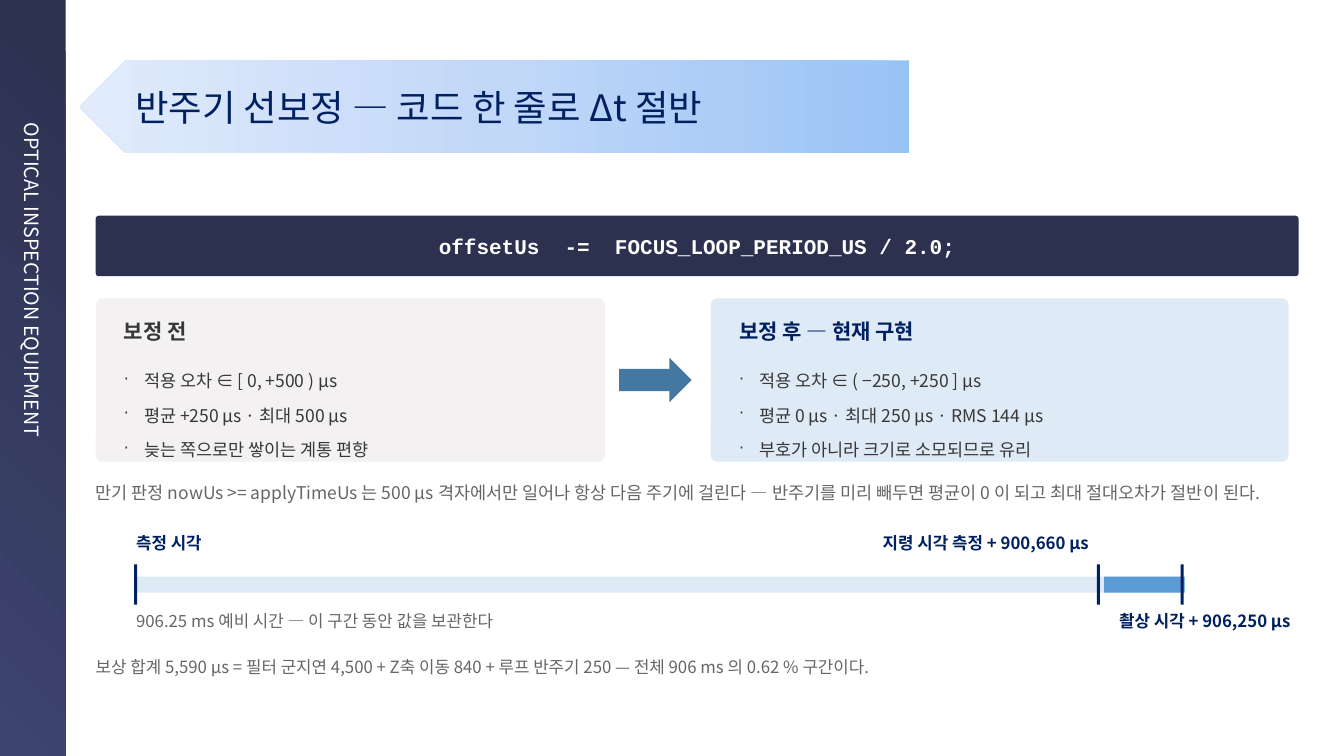
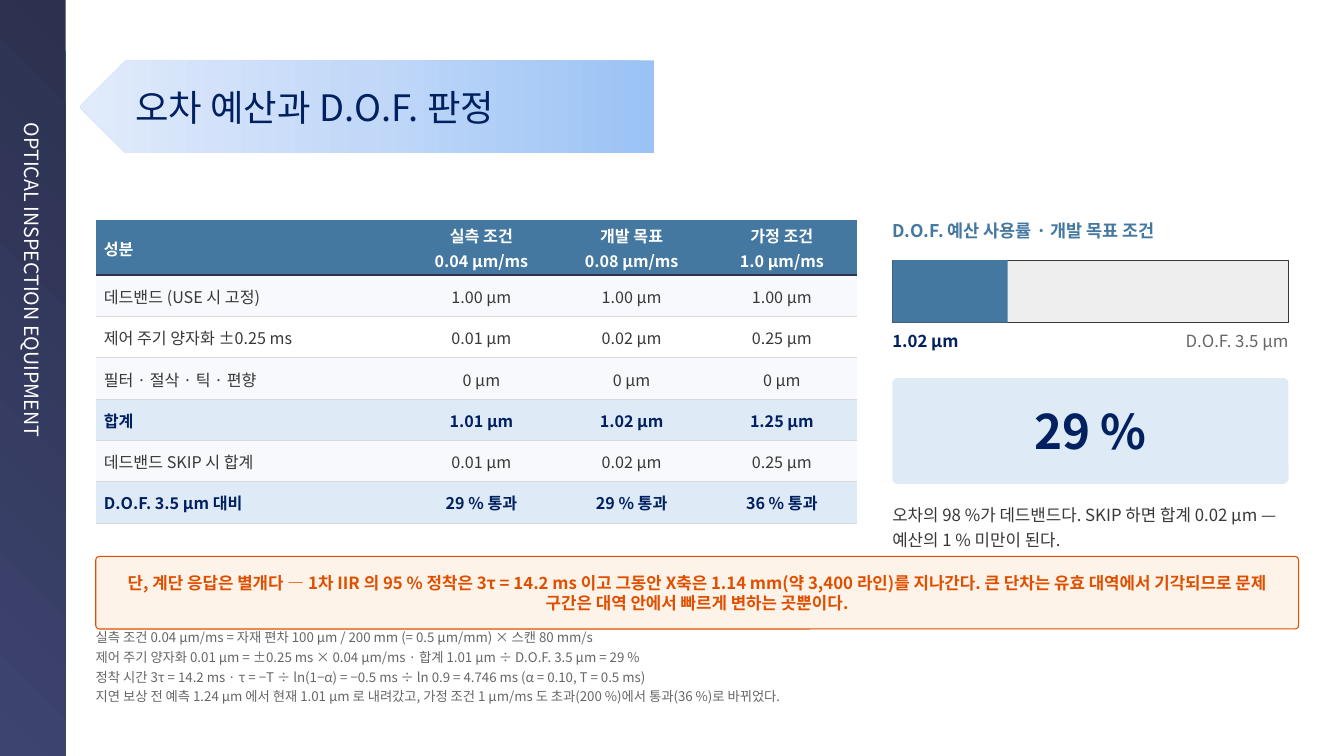
from copy import deepcopy

from lxml import etree
from pptx import Presentation
from pptx.dml.color import RGBColor
from pptx.enum import shapes, text
from pptx.oxml import ns
from pptx.util import Inches, Pt

NAVY = RGBColor(0x00, 0x20, 0x60)
DARK = RGBColor(0x2C, 0x31, 0x4F)
INDIGO = RGBColor(0x3D, 0x44, 0x6F)
STEEL = RGBColor(0x44, 0x78, 0xA0)
BLUE = RGBColor(0x5B, 0x9B, 0xD5)
PALE = RGBColor(0xDE, 0xEA, 0xF6)
STRIPE = RGBColor(0xF7, 0xF9, 0xFC)
WHITE = RGBColor(0xFF, 0xFF, 0xFF)
WARM = RGBColor(0xF3, 0xF1, 0xF1)
TRACK = RGBColor(0xEE, 0xEE, 0xEE)
RULE = RGBColor(0xD9, 0xD9, 0xD9)
INK = RGBColor(0x38, 0x38, 0x38)
GRAY = RGBColor(0x66, 0x66, 0x66)
ORANGE = RGBColor(0xE0, 0x4F, 0x00)
CREAM = RGBColor(0xFD, 0xF3, 0xE8)
BANNER = [RGBColor(0x9A, 0xC3, 0xF5), RGBColor(0xC2, 0xD8, 0xF8), RGBColor(0xE1, 0xEB, 0xFB)]

SANS, MONO = "Noto Sans CJK KR", "Courier New"
LEFT, CENTER, RIGHT = text.PP_ALIGN.LEFT, text.PP_ALIGN.CENTER, text.PP_ALIGN.RIGHT
MIDDLE = text.MSO_ANCHOR.MIDDLE
KIND = shapes.MSO_SHAPE
PLAIN_TABLE = "{2D5ABB26-0587-4C30-8999-92F81FD0307C}"

WIDTH, HEIGHT, BAND = 13.33, 7.5, 0.65
MARGIN, BODY = 0.95, 11.93
SIDE, SIDE_WIDTH = 8.85, 3.93
COMPANY = "OPTICAL INSPECTION EQUIPMENT"

CODE = "offsetUs  -=  FOCUS_LOOP_PERIOD_US / 2.0;"
CARDS = [
    (0.95, 5.05, WARM, INK, "보정 전",
     ["적용 오차 ∈ [ 0, +500 ) µs", "평균 +250 µs · 최대 500 µs", "늦는 쪽으로만 쌓이는 계통 편향"]),
    (7.05, 5.73, PALE, NAVY, "보정 후 — 현재 구현",
     ["적용 오차 ∈ ( −250, +250 ] µs", "평균 0 µs · 최대 250 µs · RMS 144 µs",
      "부호가 아니라 크기로 소모되므로 유리"]),
]
EXPLANATION = ("만기 판정 nowUs >= applyTimeUs 는 500 µs 격자에서만 일어나 항상 다음 주기에 걸린다 — "
               "반주기를 미리 빼두면 평균이 0 이 되고 최대 절대오차가 절반이 된다.")
TIMELINE = [(1.35, 10.4, PALE), (10.95, 0.8, BLUE)]
TICKS = [1.33, 10.88, 11.71]
TIME_LABELS = [
    (1.35, 5.28, 3, "측정 시각", NAVY, LEFT),
    (8.1, 5.28, 2.7, "지령 시각 측정 + 900,660 µs", NAVY, RIGHT),
    (10.3, 6.06, 2.5, "촬상 시각 + 906,250 µs", NAVY, RIGHT),
    (1.35, 6.06, 7, "906.25 ms 예비 시간 — 이 구간 동안 값을 보관한다", GRAY, LEFT),
]
TOTAL = "보상 합계 5,590 µs = 필터 군지연 4,500 + Z축 이동 840 + 루프 반주기 250 — 전체 906 ms 의 0.62 % 구간이다."

BUDGET = [
    ("성분", "실측 조건\n0.04 µm/ms", "개발 목표\n0.08 µm/ms", "가정 조건\n1.0 µm/ms"),
    ("데드밴드 (USE 시 고정)", "1.00 µm", "1.00 µm", "1.00 µm"),
    ("제어 주기 양자화 ±0.25 ms", "0.01 µm", "0.02 µm", "0.25 µm"),
    ("필터 · 절삭 · 틱 · 편향", "0 µm", "0 µm", "0 µm"),
    ("합계", "1.01 µm", "1.02 µm", "1.25 µm"),
    ("데드밴드 SKIP 시 합계", "0.01 µm", "0.02 µm", "0.25 µm"),
    ("D.O.F. 3.5 µm 대비", "29 % 통과", "29 % 통과", "36 % 통과"),
]
COLUMNS = [3.08, 1.49, 1.49, 1.49]
ROWS = [0.55] + [0.41] * 6
TOTAL_ROWS = (4, 6)
USED, DEPTH = 1.02, 3.5
REMARK = "오차의 98 %가 데드밴드다. SKIP 하면 합계 0.02 µm — 예산의 1 % 미만이 된다."
WARNING = ("단, 계단 응답은 별개다 — 1차 IIR 의 95 % 정착은 3τ = 14.2 ms 이고 그동안 X축은 "
           "1.14 mm(약 3,400 라인)를 지나간다. 큰 단차는 유효 대역에서 기각되므로 "
           "문제 구간은 대역 안에서 빠르게 변하는 곳뿐이다.")
FOOTNOTES = [
    "실측 조건 0.04 µm/ms = 자재 편차 100 µm / 200 mm (= 0.5 µm/mm) × 스캔 80 mm/s",
    "제어 주기 양자화 0.01 µm = ±0.25 ms × 0.04 µm/ms · 합계 1.01 µm ÷ D.O.F. 3.5 µm = 29 %",
    "정착 시간 3τ = 14.2 ms · τ = −T ÷ ln(1−α) = −0.5 ms ÷ ln 0.9 = 4.746 ms (α = 0.10, T = 0.5 ms)",
    "지연 보상 전 예측 1.24 µm 에서 현재 1.01 µm 로 내려갔고, 가정 조건 1 µm/ms 도 초과(200 %)에서 "
    "통과(36 %)로 바뀌었다.",
]


def add_node(parent, tag, **attributes):
    return etree.SubElement(parent, ns.qn(tag), attributes)


def write(frame, content, size, color, bold=False, align=LEFT, font=SANS,
          spacing=None, after=0, bullet=False):
    frame.text = content
    for para in frame.paragraphs:
        para.alignment = align
        if spacing:
            para.line_spacing = spacing
        if after and (bullet or para.text != frame.paragraphs[-1].text):
            para.space_after = Pt(after)
        if bullet:
            properties = para._p.get_or_add_pPr()
            properties.set("marL", str(Inches(0.2)))
            properties.set("indent", str(-Inches(0.2)))
            add_node(properties, "a:buSzPct", val="90000")
            add_node(properties, "a:buChar", char="·")
        for span in para.runs:
            span.font.name = font
            span.font.size = Pt(size)
            span.font.bold = bold
            span.font.color.rgb = color
            add_node(span._r.get_or_add_rPr(), "a:ea", typeface=font)


def set_margins(frame, left, top, right, bottom):
    frame.margin_left, frame.margin_top = Inches(left), Inches(top)
    frame.margin_right, frame.margin_bottom = Inches(right), Inches(bottom)


def add_text(page, left, top, width, height, content, size, color, **style):
    box = page.shapes.add_textbox(Inches(left), Inches(top), Inches(width), Inches(height))
    frame = box.text_frame
    set_margins(frame, 0, 0, 0, 0)
    frame.word_wrap = True
    frame.auto_size = text.MSO_AUTO_SIZE.SHAPE_TO_FIT_TEXT
    write(frame, content, size, color, **style)
    return box


def add_block(page, kind, left, top, width, height, fill=None, line=None, radius=None):
    block = page.shapes.add_shape(kind, Inches(left), Inches(top), Inches(width), Inches(height))
    block.shadow.inherit = False
    if fill is not None:
        block.fill.solid()
        block.fill.fore_color.rgb = fill
    if line is None:
        block.line.fill.background()
    else:
        block.line.color.rgb = line
        block.line.width = Pt(0.75)
    if radius is not None:
        block.adjustments[0] = radius
    return block


def add_panel(page, left, top, width, height, fill, content, size, color, line=None, font=SANS):
    panel = add_block(page, KIND.ROUNDED_RECTANGLE, left, top, width, height, fill, line, 0.05)
    frame = panel.text_frame
    set_margins(frame, 0.06, 0.02, 0.06, 0.02)
    frame.word_wrap = True
    frame.vertical_anchor = MIDDLE
    write(frame, content, size, color, bold=True, align=CENTER, font=font)


def paint_gradient(block, colors, angle):
    block.fill.gradient()
    block.fill.gradient_angle = angle
    stop_list = block._element.spPr.find(".//" + ns.qn("a:gsLst"))
    while len(stop_list) < len(colors):
        stop_list.append(deepcopy(stop_list[0]))
    for index, (stop, color) in enumerate(zip(block.fill.gradient_stops, colors)):
        stop.position = index / (len(colors) - 1)
        stop.color.rgb = color


def add_page(deck, title, banner_width):
    page = deck.slides.add_slide(deck.slide_layouts[6])
    band = add_block(page, KIND.RECTANGLE, (BAND - HEIGHT) / 2, (HEIGHT - BAND) / 2, HEIGHT, BAND)
    band.rotation = 90
    paint_gradient(band, [DARK, INDIGO], 315)
    set_margins(band.text_frame, 1.22, 0.05, 0.1, 0.05)
    band.text_frame.vertical_anchor = MIDDLE
    write(band.text_frame, COMPANY, 14, WHITE)

    banner = add_block(page, KIND.PENTAGON, 0.79, 0.6, banner_width, 0.92)
    banner._element.spPr.xfrm.set("flipH", "1")
    paint_gradient(banner, BANNER, 0)
    heading = add_text(page, 1.34, 0.6, banner_width - 0.98, 0.92, title, 26, NAVY)
    heading.text_frame.word_wrap = False
    heading.text_frame.vertical_anchor = MIDDLE
    return page


def add_budget_table(page):
    frame = page.shapes.add_table(len(ROWS), len(COLUMNS), Inches(MARGIN), Inches(2.18),
                                  Inches(sum(COLUMNS)), Inches(sum(ROWS)))
    table = frame.table
    table.horz_banding = False
    table._tbl.tblPr.find(ns.qn("a:tableStyleId")).text = PLAIN_TABLE
    for column, width in zip(table.columns, COLUMNS):
        column.width = Inches(width)
    for row, height in zip(table.rows, ROWS):
        row.height = Inches(height)
    for r, values in enumerate(BUDGET):
        if r == 0:
            fill, color = STEEL, WHITE
        elif r in TOTAL_ROWS:
            fill, color = PALE, NAVY
        else:
            fill, color = (STRIPE if r % 2 else WHITE), INK
        rule, weight = (RULE, 0.6) if r else (DARK, 1.2)
        for c, value in enumerate(values):
            cell = table.cell(r, c)
            edge = add_node(cell._tc.get_or_add_tcPr(), "a:lnB", w=str(Pt(weight)))
            add_node(add_node(edge, "a:solidFill"), "a:srgbClr", val=str(rule))
            cell.fill.solid()
            cell.fill.fore_color.rgb = fill
            set_margins(cell, 0.08, 0.03, 0.08, 0.03)
            cell.vertical_anchor = MIDDLE
            write(cell.text_frame, value, 11.5, color, bold=color != INK,
                  align=CENTER if c else LEFT, spacing=1.05)


def build_correction(deck):
    page = add_page(deck, "반주기 선보정 — 코드 한 줄로 Δt 절반", 8.23)
    add_panel(page, MARGIN, 2.14, BODY, 0.6, DARK, CODE, 15, WHITE, font=MONO)
    for left, width, fill, color, title, points in CARDS:
        add_block(page, KIND.ROUNDED_RECTANGLE, left, 2.96, width, 1.62, fill, radius=0.04)
        inner = (left + 0.28, width - 0.55)
        add_text(page, inner[0], 3.16, inner[1], 0.32, title, 15, color, bold=True)
        add_text(page, inner[0], 3.62, inner[1], 0.85, "\n".join(points), 12.5, INK,
                 spacing=1.25, after=6, bullet=True)
    add_block(page, KIND.RIGHT_ARROW, 6.14, 3.55, 0.72, 0.44, STEEL)
    add_text(page, MARGIN, 4.78, BODY, 0.3, EXPLANATION, 12.5, GRAY)
    for left, width, fill in TIMELINE:
        add_block(page, KIND.RECTANGLE, left, 5.72, width, 0.16, fill)
    for left in TICKS:
        add_block(page, KIND.RECTANGLE, left, 5.6, 0.03, 0.4, NAVY)
    for left, top, width, label, color, align in TIME_LABELS:
        add_text(page, left, top, width, 0.28, label, 12, color, bold=color == NAVY, align=align)
    add_text(page, MARGIN, 6.52, BODY, 0.36, TOTAL, 12, GRAY)


def build_budget(deck):
    page = add_page(deck, "오차 예산과 D.O.F. 판정", 5.7)
    add_budget_table(page)
    add_text(page, SIDE, 2.18, SIDE_WIDTH, 0.3, "D.O.F. 예산 사용률 · 개발 목표 조건", 12.5, STEEL, bold=True)
    add_block(page, KIND.RECTANGLE, SIDE, 2.58, SIDE_WIDTH, 0.62, TRACK, INK)
    add_block(page, KIND.RECTANGLE, SIDE, 2.58, SIDE_WIDTH * USED / DEPTH, 0.62, STEEL)
    add_text(page, SIDE, 3.28, SIDE_WIDTH, 0.28, f"{USED} µm", 12, NAVY, bold=True)
    add_text(page, SIDE, 3.28, SIDE_WIDTH, 0.28, f"D.O.F. {DEPTH} µm", 12, GRAY, align=RIGHT)
    add_panel(page, SIDE, 3.75, SIDE_WIDTH, 1.05, PALE, f"{USED / DEPTH:.0%}".replace("%", " %"), 34, NAVY)
    add_text(page, SIDE, 4.96, SIDE_WIDTH, 0.6, REMARK, 12, INK, spacing=1.25)
    add_panel(page, MARGIN, 5.52, BODY, 0.72, CREAM, WARNING, 12, ORANGE, line=ORANGE)
    add_text(page, MARGIN, 6.22, 11.83, 0.74, "\n".join(FOOTNOTES), 9.5, GRAY, spacing=1.15, after=1)


def main():
    deck = Presentation()
    deck.slide_width, deck.slide_height = Inches(WIDTH), Inches(HEIGHT)
    build_correction(deck)
    build_budget(deck)
    deck.save("out.pptx")


if __name__ == "__main__":
    main()
